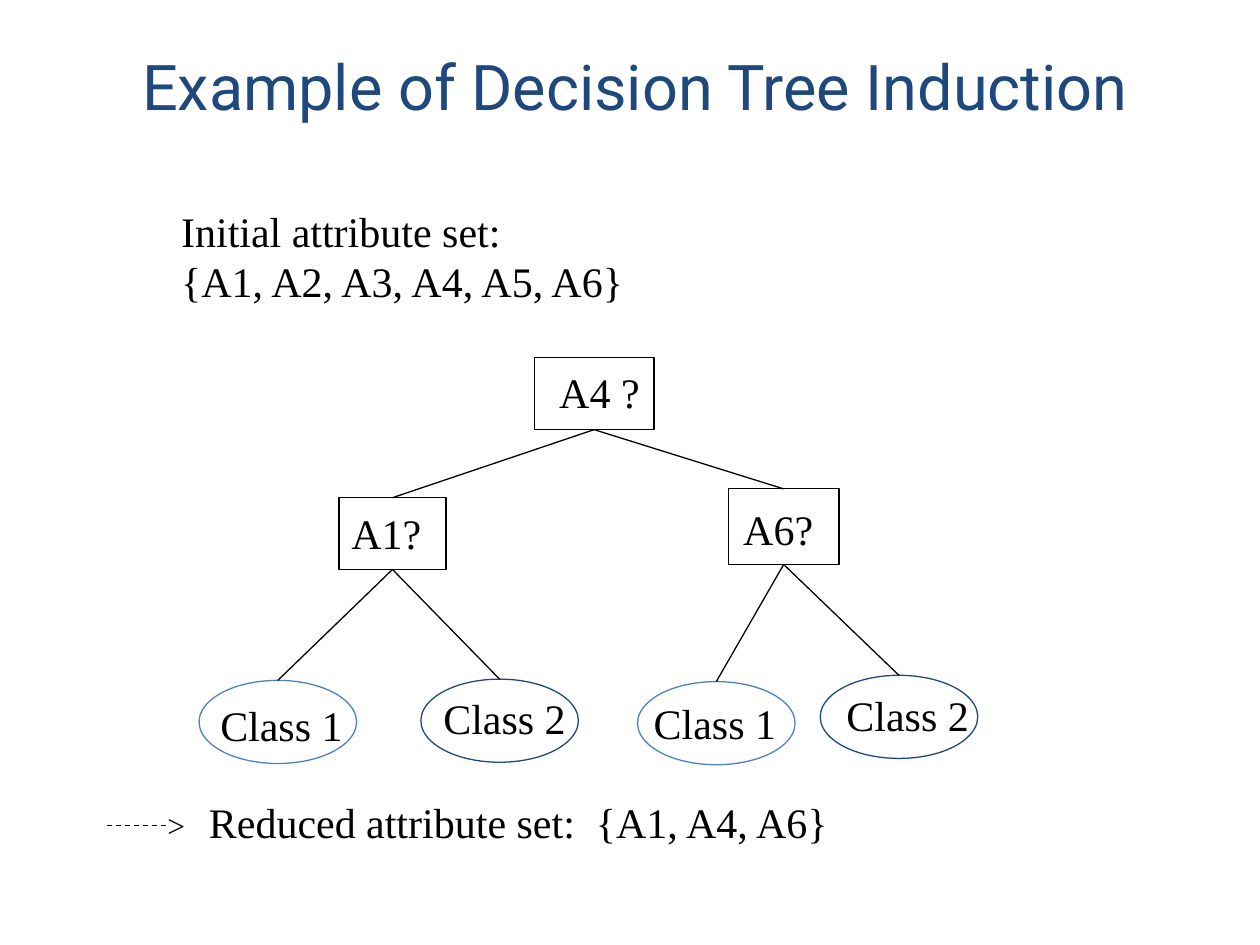
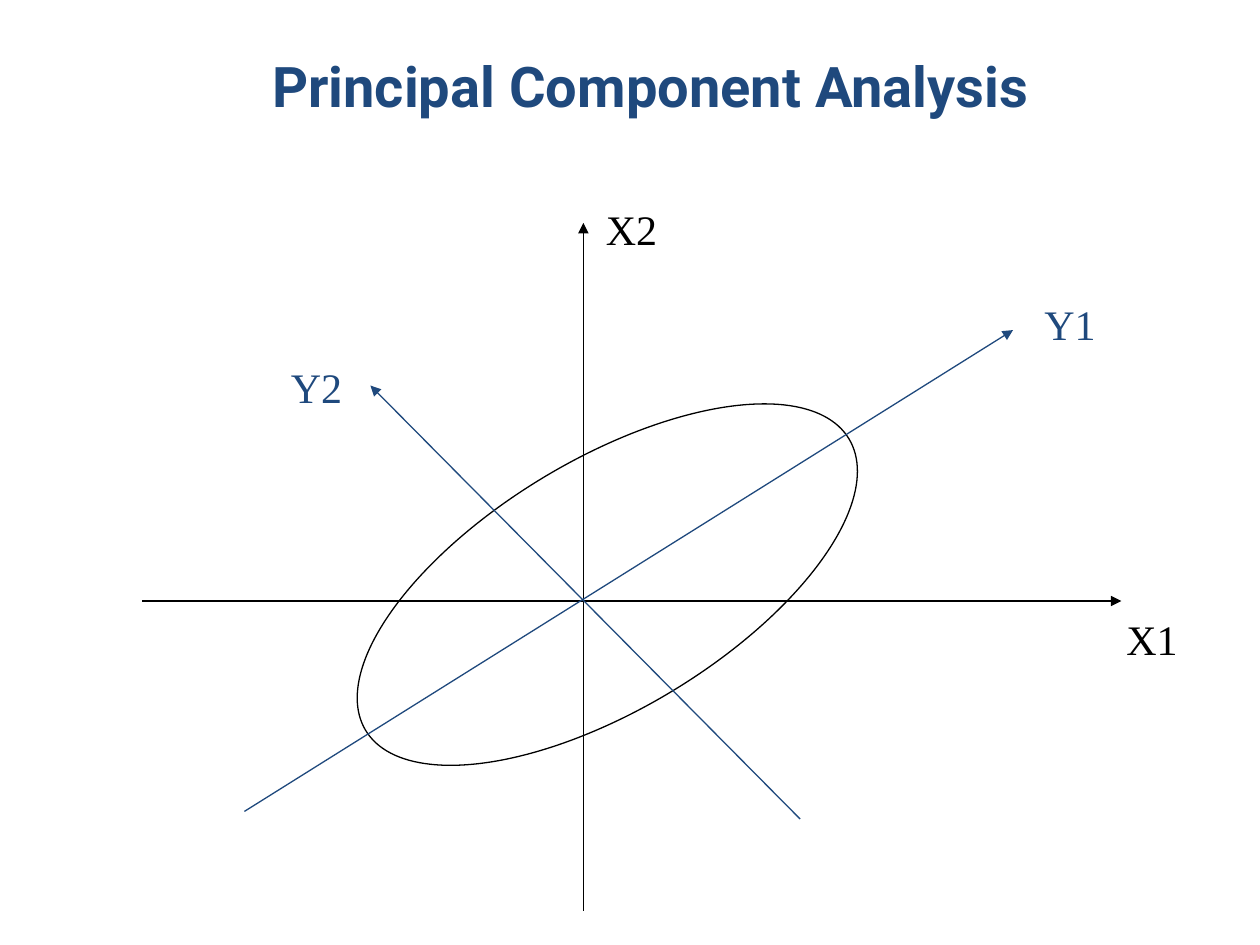
from dataclasses import dataclass

import pptx
import pptx.dml.color
import pptx.enum.dml
import pptx.enum.shapes
import pptx.enum.text
import pptx.oxml
import pptx.oxml.ns
import pptx.presentation
import pptx.shapes.autoshape
import pptx.shapes.connector
import pptx.slide
import pptx.text.text
import pptx.util
from pptx.util import Inches

INK = {"black": "000000", "navy": "1F497D", "blue": "4F81BD"}
HEAD, BODY = "Roboto", "Times New Roman"
KIND = pptx.enum.shapes.MSO_SHAPE
NS = pptx.oxml.ns.nsdecls("a")


@dataclass
class Label:
    text: str
    left: float
    top: float
    width: float
    height: float = 0.5
    ink: str = "black"
    size: float = 24


@dataclass
class Title:
    text: str
    left: float
    top: float
    width: float
    height: float
    size: float
    bold: bool = False


@dataclass
class Node:
    """An outlined shape and the label lying on it."""
    left: float
    top: float
    width: float
    height: float
    label: Label | None = None
    ink: str = "black"
    kind: KIND = KIND.RECTANGLE
    turn: float = 0


@dataclass
class Line:
    start: tuple[float, float]
    end: tuple[float, float]
    ink: str = "black"
    arrow: bool = False


def color(name: str) -> pptx.dml.color.RGBColor:
    return pptx.dml.color.RGBColor.from_string(INK[name])


def add_text(slide: pptx.slide.Slide, item: Label | Title, face: str, ink: str,
             bold: bool = False) -> pptx.text.text.TextFrame:
    box = slide.shapes.add_textbox(Inches(item.left), Inches(item.top),
                                   Inches(item.width), Inches(item.height))
    frame = box.text_frame
    frame.word_wrap = True
    frame.text = item.text
    for para in frame.paragraphs:
        for run in para.runs:
            run.font.name = face
            run.font.size = pptx.util.Pt(item.size)
            run.font.bold = bold
            run.font.color.rgb = color(ink)
    return frame


def add_title(slide: pptx.slide.Slide, title: Title) -> None:
    frame = add_text(slide, title, HEAD, "navy", title.bold)
    frame.paragraphs[0].alignment = pptx.enum.text.PP_ALIGN.CENTER


def add_label(slide: pptx.slide.Slide, label: Label) -> None:
    """Add left-aligned text that may run up to the right edge of its box."""
    frame = add_text(slide, label, BODY, label.ink)
    frame.margin_right = 0


def add_node(slide: pptx.slide.Slide, node: Node) -> pptx.shapes.autoshape.Shape:
    shape = slide.shapes.add_shape(node.kind, Inches(node.left), Inches(node.top),
                                   Inches(node.width), Inches(node.height))
    shape.shadow.inherit = False
    shape.fill.background()
    shape.line.color.rgb = color(node.ink)
    shape.line.width = pptx.util.Pt(0.75)
    shape.rotation = node.turn
    if node.label:
        add_label(slide, node.label)
    return shape


def add_line(slide: pptx.slide.Slide, line: Line) -> pptx.shapes.connector.Connector:
    wire = slide.shapes.add_connector(
        pptx.enum.shapes.MSO_CONNECTOR.STRAIGHT,
        *(Inches(value) for value in line.start + line.end))
    wire.line.color.rgb = color(line.ink)
    wire.line.width = pptx.util.Pt(0.75)
    if line.arrow:
        wire.line._get_or_add_ln().append(
            pptx.oxml.parse_xml(f'<a:tailEnd {NS} type="triangle"/>'))
    wire._element.spPr.append(pptx.oxml.parse_xml(f"<a:effectLst {NS}/>"))
    return wire


def leaf(number: int, left: float, top: float, x: float, y: float) -> Node:
    """A class ellipse at left, top with its label at x, y."""
    return Node(left, top, 1.25, 0.66, Label(f"Class {number}", x, y, 1.17),
                "blue" if number == 1 else "navy", KIND.OVAL)


NODES = {
    "A4": Node(4.24, 2.84, 0.95, 0.57, Label("A4 ?", 4.34, 2.86, 0.97)),
    "A1": Node(2.69, 3.95, 0.85, 0.57, Label("A1?", 2.69, 3.98, 0.75)),
    "A6": Node(5.78, 3.88, 0.88, 0.6, Label("A6?", 5.8, 3.95, 0.75)),
    "A1 yes": leaf(1, 1.58, 5.4, 1.65, 5.5),
    "A1 no": leaf(2, 3.34, 5.39, 3.42, 5.45),
    "A6 yes": leaf(1, 5.06, 5.41, 5.09, 5.49),
    "A6 no": leaf(2, 6.51, 5.36, 6.62, 5.42),
}
EDGES = {"A4": ("A1", "A6"), "A1": ("A1 yes", "A1 no"), "A6": ("A6 yes", "A6 no")}
NOTES = (
    Label("Initial attribute set:\n{A1, A2, A3, A4, A5, A6}", 1.34, 1.58, 3.8, 0.9),
    Label(">", 1.23, 6.35, 0.34, 0.4, size=18),
    Label("Reduced attribute set:  {A1, A4, A6}", 1.56, 6.27, 5.15),
)
AXES = (
    Line((1.13, 4.77), (8.9, 4.77), arrow=True),
    Line((4.63, 7.23), (4.63, 1.77), arrow=True),
    Line((1.94, 6.44), (8.04, 2.62), "navy", True),
    Line((6.35, 6.5), (2.94, 3.06), "navy", True),
)
NAMES = (
    Label("X1", 8.84, 4.82, 0.61),
    Label("X2", 4.71, 1.57, 0.61),
    Label("Y1", 8.19, 2.32, 0.61, ink="navy"),
    Label("Y2", 2.21, 2.82, 0.61, ink="navy"),
)


def add_slide(deck: pptx.presentation.Presentation, title: Title) -> pptx.slide.Slide:
    slide = deck.slides.add_slide(deck.slide_layouts[6])
    add_title(slide, title)
    return slide


def draw_tree(deck: pptx.presentation.Presentation) -> None:
    slide = add_slide(deck, Title("Example of Decision Tree Induction",
                                  0.83, 0.33, 8.42, 1.3, 36))
    shapes = {name: add_node(slide, node) for name, node in NODES.items()}
    for parent, kids in EDGES.items():
        for kid in kids:
            wire = add_line(slide, Line((0, 0), (1, 1)))
            wire.begin_connect(shapes[parent], 2)
            wire.end_connect(shapes[kid], 0)
    dash = add_line(slide, Line((0.85, 6.55), (1.33, 6.55)))
    dash.line.dash_style = pptx.enum.dml.MSO_LINE.DASH
    for note in NOTES:
        add_label(slide, note)


def draw_axes(deck: pptx.presentation.Presentation) -> None:
    slide = add_slide(deck, Title("Principal Component Analysis",
                                  1.5, 0.36, 7.33, 0.64, 32, True))
    add_node(slide, Node(2.58, 3.65, 4.48, 1.98, kind=KIND.OVAL, turn=328.9))
    for axis in AXES:
        add_line(slide, axis)
    for name in NAMES:
        add_label(slide, name)


def main() -> None:
    deck = pptx.Presentation()
    deck.slide_width, deck.slide_height = Inches(10), Inches(7.5)
    draw_tree(deck)
    draw_axes(deck)
    deck.save("out.pptx")


if __name__ == "__main__":
    main()
